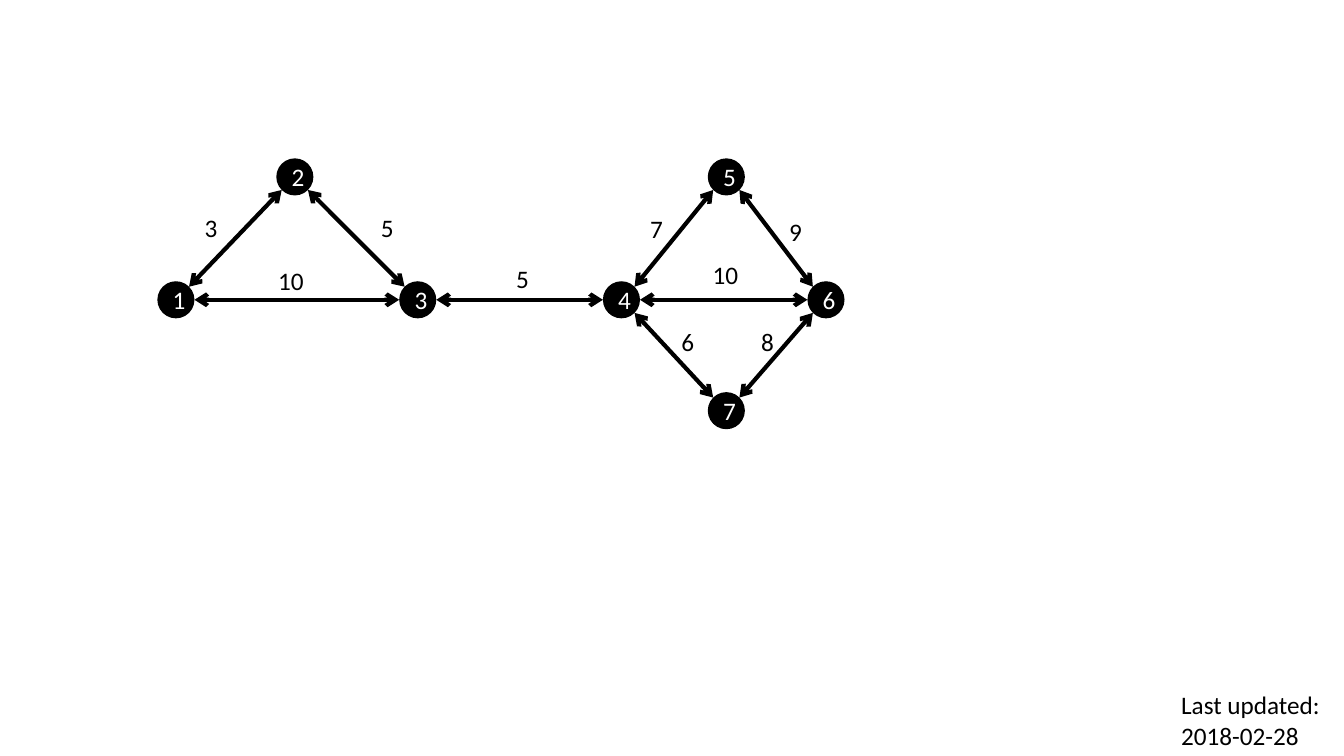
from dataclasses import dataclass
from math import sqrt

from lxml import etree
from pptx import Presentation
from pptx.dml.color import RGBColor
from pptx.enum.shapes import MSO_CONNECTOR, MSO_SHAPE
from pptx.enum.text import MSO_ANCHOR, MSO_AUTO_SIZE, PP_ALIGN
from pptx.oxml.ns import qn
from pptx.util import Pt

STRAIGHT = MSO_CONNECTOR.STRAIGHT
OVAL = MSO_SHAPE.OVAL
MIDDLE = MSO_ANCHOR.MIDDLE
GROW = MSO_AUTO_SIZE.SHAPE_TO_FIT_TEXT
CENTER = PP_ALIGN.CENTER


@dataclass(frozen=True)
class Theme:
    ink: RGBColor = RGBColor(0, 0, 0)
    paper: RGBColor = RGBColor(255, 255, 255)
    font: str = "Calibri"
    size: float = 18
    line: float = 3


THEME = Theme()
DIAMETER = 26.5
LABEL_HEIGHT = 29.1
LABEL_PADDING = 14.4
DIGIT_WIDTH = 9.2

# Node centres, relative to the graph's box
TOP, MID, BOTTOM = 13.25, 101.05, 180.25
NODES = {
    "1": (13.25, MID),
    "2": (98.2, TOP),
    "3": (186, MID),
    "4": (331.5, MID),
    "5": (406.4, TOP),
    "6": (477.6, MID),
    "7": (406.4, BOTTOM),
}
# From, to, weight, offset of the weight from the middle of the edge
EDGES = [
    ("1", "2", "3", (-17.3, -7.6)),
    ("1", "3", "10", (-4, -13.3)),
    ("2", "3", "5", (22.3, -7.6)),
    ("3", "4", "5", (2.2, -14.8)),
    ("4", "5", "7", (-12.2, -6.8)),
    ("4", "6", "10", (1.4, -17.6)),
    ("5", "6", "9", (14, -4.7)),
    ("4", "7", "6", (10.1, -9.7)),
    ("7", "6", "8", (-6.1, -9.7)),
]
# Direction from a node's centre: connection site of the oval
SITES = {(-1, -1): 1, (-1, 0): 2, (-1, 1): 3, (1, 1): 5, (1, 0): 6, (1, -1): 7}


def format_text(tf, color):
    for p in tf.paragraphs:
        for r in p.runs:
            r.font.name = THEME.font
            r.font.size = Pt(THEME.size)
            r.font.color.rgb = color


def add_text(s, text, x, y, w, h):
    tf = s.shapes.add_textbox(Pt(x), Pt(y), Pt(w), Pt(h)).text_frame
    tf.word_wrap = False
    tf.auto_size = GROW
    tf.text = text
    format_text(tf, THEME.ink)


def add_node(s, name, cx, cy):
    sp = s.shapes.add_shape(OVAL, Pt(cx - DIAMETER / 2), Pt(cy - DIAMETER / 2),
                            Pt(DIAMETER), Pt(DIAMETER))
    sp.shadow.inherit = False
    sp.fill.solid()
    sp.fill.fore_color.rgb = THEME.ink
    sp.line.fill.background()
    tf = sp.text_frame
    tf.vertical_anchor = MIDDLE
    tf.text = name
    tf.paragraphs[0].alignment = CENTER
    format_text(tf, THEME.paper)
    return sp


def sign(value):
    return (value > 0) - (value < 0)


def add_edge(s, start, end, a, b):
    """Join node shapes start and end, centred at a and b, with a two-way arrow."""
    dx, dy = sign(b[0] - a[0]), sign(b[1] - a[1])
    reach = DIAMETER / 2 / sqrt(dx * dx + dy * dy)
    cx = s.shapes.add_connector(
        STRAIGHT,
        Pt(a[0] + dx * reach), Pt(a[1] + dy * reach),
        Pt(b[0] - dx * reach), Pt(b[1] - dy * reach))
    cx.line.color.rgb = THEME.ink
    cx.line.width = Pt(THEME.line)
    ln = cx.line._get_or_add_ln()
    for tag in ("a:headEnd", "a:tailEnd"):
        etree.SubElement(ln, qn(tag), type="arrow")
    etree.SubElement(cx._element.spPr, qn("a:effectLst"))
    joints = cx._element.find(".//" + qn("p:cNvCxnSpPr"))
    for tag, sp, site in (("a:stCxn", start, SITES[dx, dy]),
                          ("a:endCxn", end, SITES[-dx, -dy])):
        etree.SubElement(joints, qn(tag), id=str(sp.shape_id), idx=str(site))


def add_weight(s, weight, a, b, offset):
    w = LABEL_PADDING + DIGIT_WIDTH * len(weight)
    x, y = ((p + q) / 2 + d for p, q, d in zip(a, b, offset))
    add_text(s, weight, x - w / 2, y - LABEL_HEIGHT / 2, w, LABEL_HEIGHT)


def add_graph(s, left, top):
    centres = {name: (left + x, top + y) for name, (x, y) in NODES.items()}
    nodes = {name: add_node(s, name, *c) for name, c in centres.items()}
    for start, end, _, _ in EDGES:
        add_edge(s, nodes[start], nodes[end], centres[start], centres[end])
    for start, end, weight, offset in EDGES:
        add_weight(s, weight, centres[start], centres[end], offset)


def main():
    prs = Presentation()
    prs.slide_width, prs.slide_height = Pt(960), Pt(540)
    s = prs.slides.add_slide(prs.slide_layouts[6])
    add_text(s, "Last updated:\n2018-02-28", 836.6, 489.1, 114.5, 50.9)
    add_graph(s, 112.4, 113.1)
    prs.save("out.pptx")


if __name__ == "__main__":
    main()
